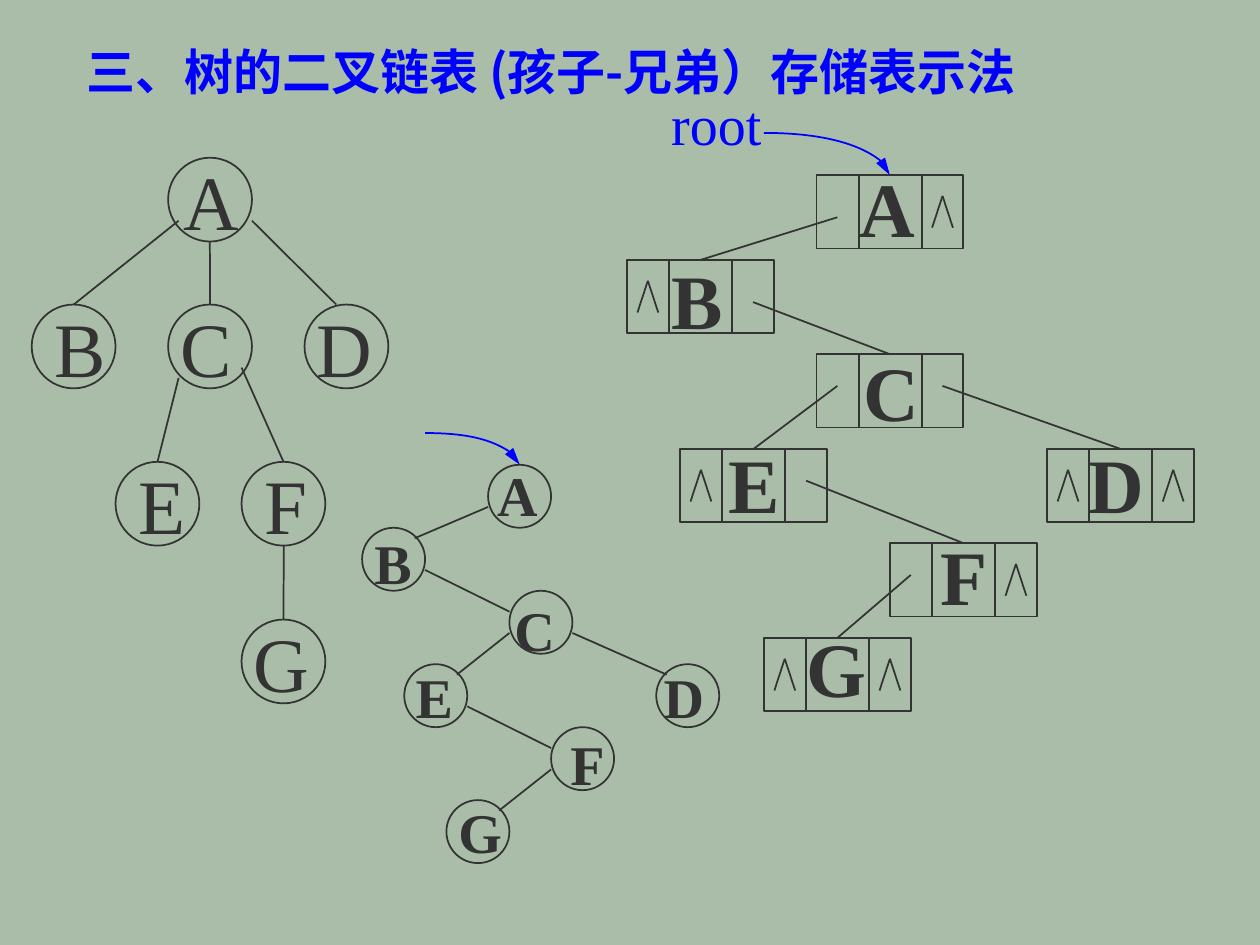
from lxml import etree
from pptx import Presentation, util as u
from pptx.dml.color import RGBColor
from pptx.enum import shapes, text
from pptx.oxml.ns import qn

INK, BLUE, SERIF, SANS = "333333", "0000FF", "Times New Roman", "Noto Sans CJK SC"


def color(value):
    return RGBColor.from_string(value)


class Sketch:
    """Draws styled elements on the current slide, with lengths in centimetres."""

    def __init__(self, page):
        self.page = page

    def shape(self, kind, x, y, width, height):
        shape = self.page.shapes.add_shape(kind, *map(u.Cm, (x, y, width, height)))
        shape.shadow.inherit = False
        shape.fill.background()
        shape.line.color.rgb = color(INK)
        shape.line.width = u.Pt(1)
        return shape

    def circle(self, x, y, size):
        return self.shape(shapes.MSO_SHAPE.OVAL, x, y, size, size)

    def line(self, x1, y1, x2, y2, target=None, ink=INK, curved=False):
        kind = shapes.MSO_CONNECTOR.CURVE if curved else shapes.MSO_CONNECTOR.STRAIGHT
        line = self.page.shapes.add_connector(kind, *map(u.Cm, (x1, y1, x2, y2)))
        line.line.color.rgb = color(ink)
        line.line.width = u.Pt(1)
        if target is not None:
            line.end_connect(target, 0)
        etree.SubElement(line._element.spPr, qn("a:effectLst"))
        return line

    def arrow(self, x1, y1, x2, y2):
        arrow = self.line(x1, y1, x2, y2, ink=BLUE, curved=True)
        properties = arrow._element.spPr
        properties.find(qn("a:prstGeom")).set("prst", "curvedConnector2")
        etree.SubElement(properties.find(qn("a:ln")), qn("a:tailEnd"),
                         type="triangle", w="med", len="lg")

    def words(self, x, y, width, height, content, size, ink=INK, bold=False,
              font=SERIF, wrap=False):
        box = self.page.shapes.add_textbox(*map(u.Cm, (x, y, width, height)))
        frame = box.text_frame
        frame.word_wrap = wrap
        frame.auto_size = text.MSO_AUTO_SIZE.NONE
        para = frame.paragraphs[0]
        para.line_spacing = u.Pt(round(size * 1.2))
        span = para.add_run()
        span.text = content
        para.font.size = u.Pt(size)
        para.font.bold = bold
        para.font.name = font
        para.font.color.rgb = color(ink)
        if font == SANS:
            latin = para.font._element.find(qn("a:latin"))
            latin.addnext(etree.Element(qn("a:ea"), typeface=font))

    def record(self, x, y, left_empty, right_empty):
        record = self.shape(shapes.MSO_SHAPE.RECTANGLE, x, y, 2.96, 1.48)
        for divider in (0.85, 2.12):
            self.line(x + divider, y, x + divider, y + 1.48)
        for empty, center in ((left_empty, 0.42), (right_empty, 2.54)):
            for side in (-0.21, 0.21) if empty else ():
                self.line(x + center, y + 0.42, x + center + side, y + 1.06)
        return record


def draw_tree(sketch):
    nodes = {"A": (3.39, 3.18, 0.06, 1.63), "B": (0.64, 6.14, 0.21, 1.55),
             "C": (3.39, 6.14, 0, 1.55), "D": (6.14, 6.14, 0, 1.63),
             "E": (2.33, 9.31, 0.21, 1.45), "F": (4.87, 9.31, 0.21, 1.37),
             "G": (4.87, 12.49, 0, 1.63)}
    circles = {}
    for name, (x, y, shift, width) in nodes.items():
        circles[name] = sketch.circle(x, y, 1.69)
        sketch.words(x + shift, y - 0.21, width, 2.11, name, 44)
    for child, x, y in (("B", 3.6, 4.45), ("C", 4.23, 4.87), ("E", 3.6, 7.62),
                        ("F", 4.87, 7.41), ("G", 5.72, 11)):
        sketch.line(x, y, *nodes[child][:2], target=circles[child])
    sketch.line(5.08, 4.45, 6.78, 6.14)


def draw_binary_tree(sketch):
    nodes = {"A": (9.84, 9.37, -0.07, -0.19, 1.32), "B": (7.3, 10.64, 0, -0.1, 1.26),
             "C": (10.27, 11.91, -0.15, -0.02, 1.32),
             "D": (13.23, 13.39, -0.1, -0.15, 1.32),
             "E": (8.15, 13.39, -0.02, -0.15, 1.26),
             "F": (11.11, 14.66, 0.14, -0.06, 1.2), "G": (9, 16.13, -0.01, -0.17, 1.39)}
    for name, (x, y, shift, rise, width) in nodes.items():
        sketch.words(x + shift, y + rise, width, 1.6, name, 32, bold=True)
        sketch.circle(x, y, 1.27)
    to_left, to_right, to_corner = (0, 1.06, 0.21), (1.27, 0, 0.42), (1.27, 0.21, 0.21)
    for parent, child, (start, dx, dy) in (
            ("A", "B", to_left), ("B", "C", to_right), ("C", "E", to_left),
            ("C", "D", to_corner), ("E", "F", to_right), ("F", "G", to_left)):
        (x1, y1), (x2, y2) = nodes[parent][:2], nodes[child][:2]
        sketch.line(x1 + start, y1 + 0.85, x2 + dx, y2 + dy)
    sketch.arrow(8.57, 8.73, 10.48, 9.37)


def draw_linked_list(sketch):
    nodes = {"A": (16.46, 3.53, False, True, 0.61, -0.43, 1.63),
             "B": (12.64, 5.24, True, False, 0.64, -0.29, 1.55),
             "C": (16.46, 7.14, False, False, 0.7, -0.33, 1.63),
             "D": (21.11, 9.05, True, True, 0.58, -0.39, 1.63),
             "E": (13.71, 9.05, True, False, 0.72, -0.39, 1.55),
             "F": (17.94, 10.95, False, True, 0.77, -0.43, 1.46),
             "G": (15.4, 12.86, True, True, 0.6, -0.49, 1.72)}
    records = {}
    for name, (x, y, left_empty, right_empty, shift, rise, width) in nodes.items():
        sketch.words(x + shift, y + rise, width, 2.11, name, 44, bold=True)
        records[name] = sketch.record(x, y, left_empty, right_empty)
    left, right = 0.42, 2.54
    for parent, child, cell, drop in (
            ("A", "B", left, 0.85), ("B", "C", right, 0.85), ("C", "E", left, 0.64),
            ("C", "D", right, 0.64), ("E", "F", right, 0.64), ("F", "G", left, 0.64)):
        x, y = nodes[parent][:2]
        sketch.line(x + cell, y + drop, *nodes[child][:2], target=records[child])
    sketch.words(13.28, 1.7, 2.34, 1.6, "root", 32, ink=BLUE)
    sketch.arrow(15.4, 2.68, 17.94, 3.53)


def main():
    deck = Presentation()
    deck.slide_width, deck.slide_height = u.Cm(25.4), u.Cm(19.05)
    page = deck.slides.add_slide(deck.slide_layouts[6])
    page.background.fill.solid()
    page.background.fill.fore_color.rgb = color("A9BDA9")
    sketch = Sketch(page)
    draw_tree(sketch)
    draw_linked_list(sketch)
    draw_binary_tree(sketch)
    title = "三、树的二叉链表 (孩子-兄弟）存储表示法"
    sketch.words(1.5, 0.69, 20.47, 1.45, title, 28, BLUE, True, SANS, wrap=True)
    deck.save("out.pptx")


if __name__ == "__main__":
    main()
